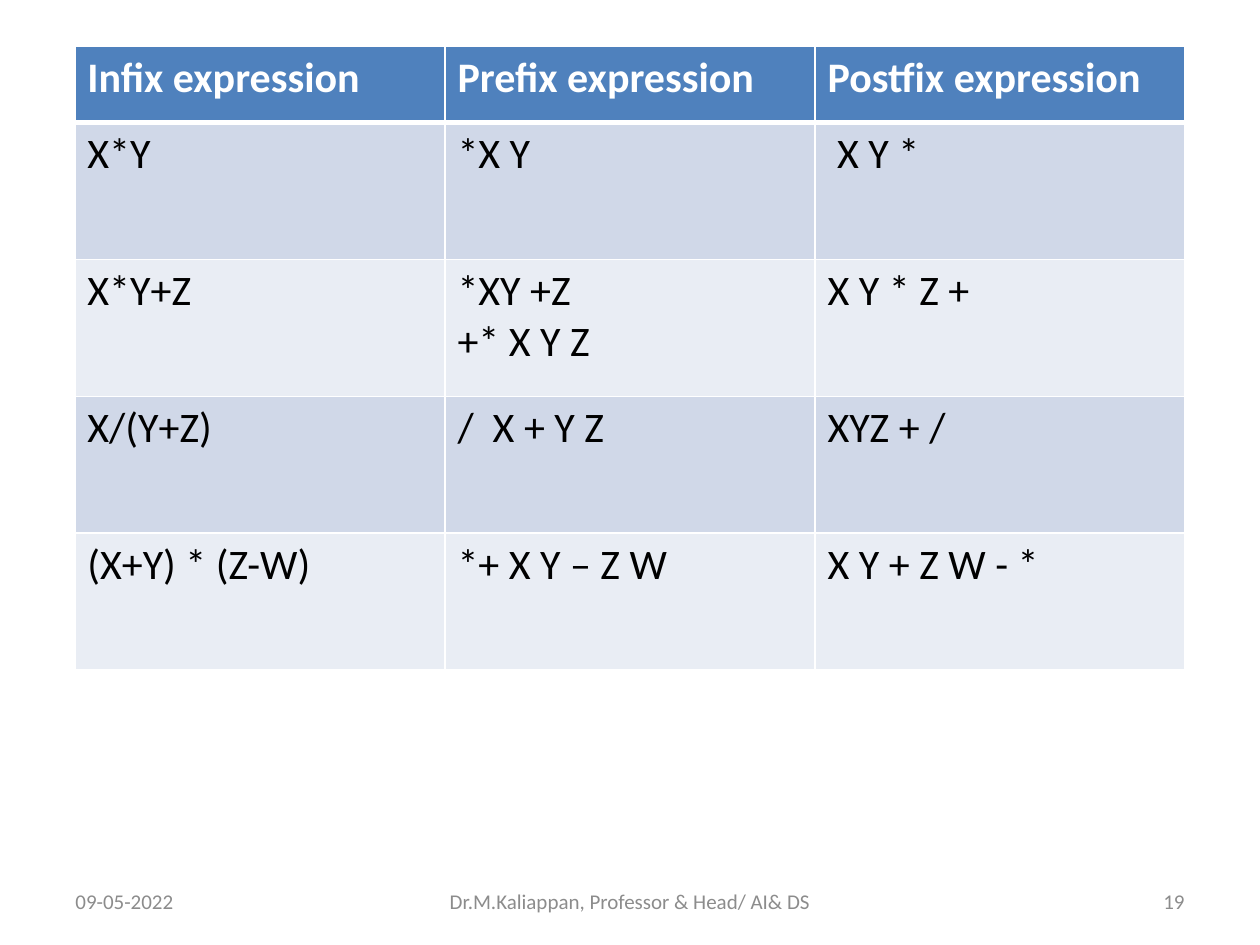
from lxml.etree import SubElement
from pptx import Presentation
from pptx.dml.color import RGBColor as RGB
from pptx.enum.text import MSO_ANCHOR as ANCHOR, PP_ALIGN as ALIGN
from pptx.oxml.ns import qn
from pptx.util import Pt

COLORS = {
    "header": "4F81BD",
    "odd": "D0D8E8",
    "even": "E9EDF4",
    "white": "FFFFFF",
    "black": "000000",
    "footer": "8C8C8C",
}
ROWS = [
    ["Infix expression", "Prefix expression", "Postfix expression"],
    ["X*Y", "*X Y", " X Y *"],
    ["X*Y+Z", "*XY +Z\n+* X Y Z", "X Y * Z +"],
    ["X/(Y+Z)", "/  X + Y Z", "XYZ + /"],
    ["(X+Y) * (Z-W)", "*+ X Y – Z W", "X Y + Z W - *"],
]
FOOTERS = [
    (36, 168, "09-05-2022", ALIGN.LEFT),
    (246, 228, "Dr.M.Kaliappan, Professor & Head/ AI& DS", ALIGN.CENTER),
    (516, 168, "19", ALIGN.RIGHT),
]


class Deck:
    font = "Calibri"

    def __init__(self, width, height):
        self.prs = Presentation()
        self.prs.slide_width, self.prs.slide_height = Pt(width), Pt(height)
        self.s = self.prs.slides.add_slide(self.prs.slide_layouts[6])

    def fill_text(self, tf, text, color, size, bold=False, align=ALIGN.LEFT):
        style = {"name": self.font, "size": Pt(size), "bold": bold}
        tf.text = text
        for p in tf.paragraphs:
            p.alignment = align
            for r in p.runs:
                for key, value in style.items():
                    setattr(r.font, key, value)
                r.font.color.rgb = RGB.from_string(COLORS[color])

    def text(self, x, y, w, h, text, align):
        sp = self.s.shapes.add_textbox(Pt(x), Pt(y), Pt(w), Pt(h))
        tf = sp.text_frame
        tf.word_wrap = True
        tf.vertical_anchor = ANCHOR.MIDDLE
        self.fill_text(tf, text, "footer", 12, align=align)

    def borders(self, cell, widths):
        tc_pr = cell._tc.get_or_add_tcPr()
        for i, (side, width) in enumerate(widths.items()):
            ln = SubElement(tc_pr, qn(f"a:ln{side}"), w=str(Pt(width)))
            fill = SubElement(ln, qn("a:solidFill"))
            SubElement(fill, qn("a:srgbClr"), val=COLORS["white"])
            tc_pr.insert(i, ln)

    def table(self, x, y, col_width, heights, rows):
        cols = len(rows[0])
        frame = self.s.shapes.add_table(
            len(rows), cols, Pt(x), Pt(y), Pt(col_width * cols), Pt(sum(heights))
        )
        table = frame.table
        for col in table.columns:
            col.width = Pt(col_width)
        for i, (row, height) in enumerate(zip(rows, heights)):
            table.rows[i].height = Pt(height)
            head = i == 0
            band = "header" if head else ("even", "odd")[i % 2]
            widths = {"L": 1, "R": 1, "T": 3 if i == 1 else 1, "B": 3 if head else 1}
            for j, text in enumerate(row):
                cell = table.cell(i, j)
                cell.fill.solid()
                cell.fill.fore_color.rgb = RGB.from_string(COLORS[band])
                color = "white" if head else "black"
                self.fill_text(cell.text_frame, text, color, 24, head)
                self.borders(cell, widths)


def main():
    deck = Deck(720, 540)
    for x, w, text, align in FOOTERS:
        deck.text(x, 500.5, w, 28.75, text, align)
    deck.table(42.75, 26.5, 211.5, [43.5] + [78.25] * 4, ROWS)
    deck.prs.save("out.pptx")


if __name__ == "__main__":
    main()
